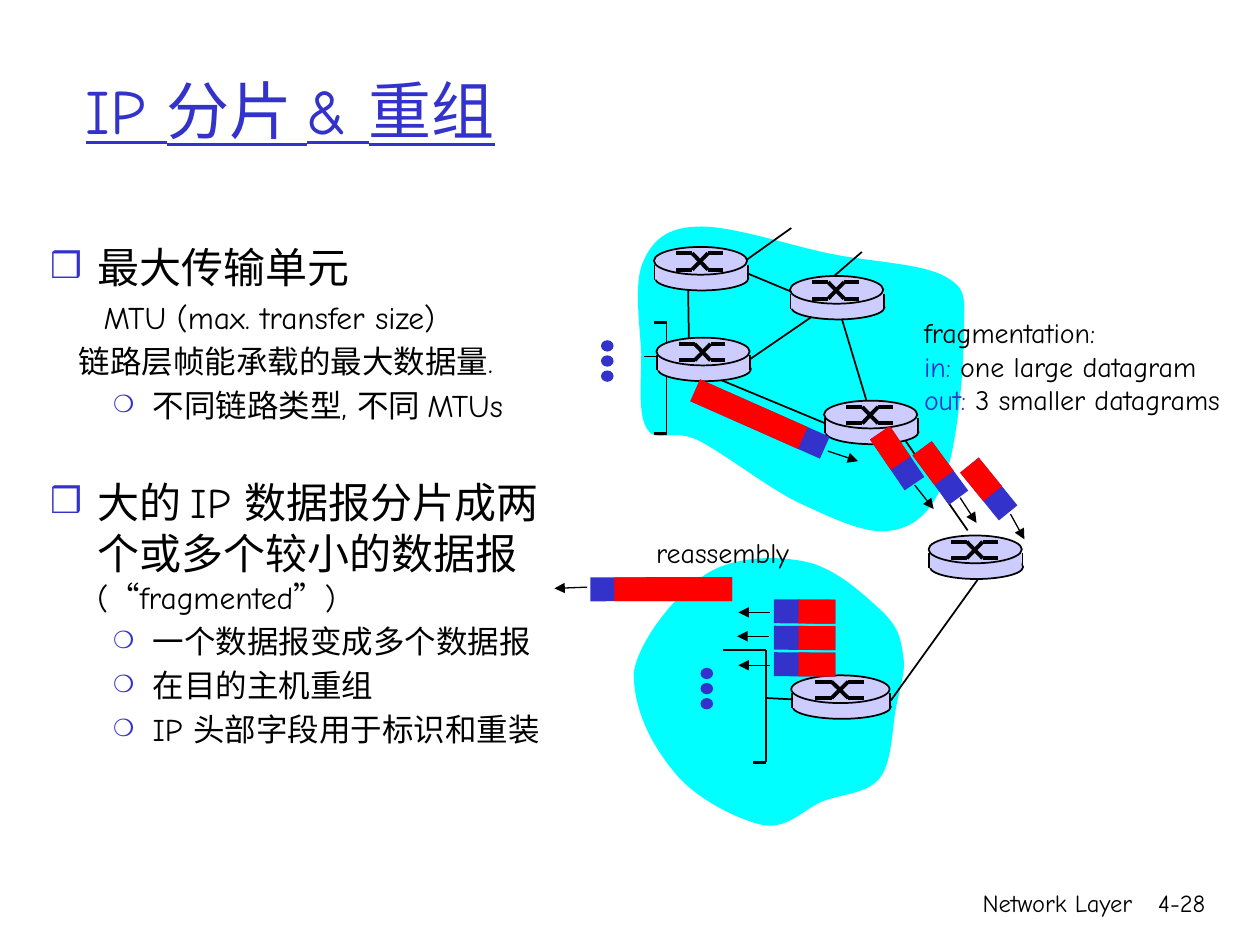
from math import cos, radians, sin
from lxml.etree import SubElement
from pptx import Presentation
from pptx.dml.color import RGBColor
from pptx.enum.shapes import MSO_CONNECTOR, MSO_SHAPE
from pptx.enum.text import MSO_ANCHOR, PP_ALIGN
from pptx.oxml.ns import qn
from pptx.util import Inches, Pt


class Theme:
    font = "Comic Neue"
    ink, blue, red = "000000", "3333CC", "FF0000"
    cloud, router = "00FFFF", "CCCCFF"
    title, head, body, label, footer = 36, 24, 18, 16, 14
    hair, thin, medium, thick = 0.75, 1, 1.5, 2.25


# Lengths are in grid units: the slide is 100 columns by 75 rows.
COLS, ROWS, UNIT = 100, 75, Inches(0.1)

# Paragraph styles: left edge, first-line indent, bullet, bullet size %, size, space before
STYLES = {
    "first": (3.75, -3.75, "❒", 85, Theme.head, 0),
    "head": (3.75, -3.75, "❒", 85, Theme.head, 30),
    "mtu": (4.25, 0, None, 0, Theme.body, 3.6),
    "note": (2.25, 0, None, 0, Theme.body, 3.6),
    "sub": (8.13, -3.13, "❍", 75, Theme.body, 3.6),
}
BODY = [
    ("first", ["最大传输单元"]),
    ("mtu", ["MTU (max. transfer size)"]),
    ("note", ["链路层帧能承载的最大数据量."]),
    ("sub", ["不同链路类型, 不同 MTUs"]),
    ("head", ["大的 IP 数据报分片成两个或多个较小的数据报 ",
              ("(“fragmented”)", {"size": Theme.body})]),
    ("sub", ["一个数据报变成多个数据报"]),
    ("sub", ["在目的主机重组"]),
    ("sub", ["IP 头部字段用于标识和重装"]),
]
FRAGMENTATION = [
    (None, ["fragmentation:"]),
    (None, [("in:", {"color": Theme.blue}), " one large datagram"]),
    (None, [("out:", {"color": Theme.blue}), " 3 smaller datagrams"]),
]

# Clouds: a start point, then two control points and an end point per curve
CLOUDS = [
    [(55.2, 18), (52.8, 18.1), (51.7, 19.2), (51, 20.9), (50.3, 22.6), (50.8, 25.9),
     (50.9, 28.1), (50.9, 30.3), (50.6, 33), (51.4, 34.1), (52.1, 35.2), (53.3, 34),
     (55.3, 34.9), (57.4, 35.9), (61, 38.8), (63.6, 40), (66.2, 41.2), (68.9, 42.5),
     (70.8, 42.1), (72.7, 41.8), (74.1, 40.5), (75, 37.9), (76, 35.3), (76.5, 29.2),
     (76.5, 26.6), (76.5, 23.9), (76.9, 23), (75.1, 22), (73.3, 20.9), (69, 20.8),
     (65.7, 20.1), (62.4, 19.4), (57.7, 17.8), (55.2, 18)],
    [(50.3, 53.4), (50.7, 50.8), (53.7, 47.1), (56, 45.6), (58.3, 44.1), (61.7, 44.1),
     (64, 44.6), (66.4, 45.1), (68.8, 47.4), (70.1, 48.6), (71.4, 49.9), (71.5, 50.8),
     (71.7, 52.1), (71.9, 53.4), (71.4, 54.6), (71.1, 56.3), (70.8, 57.9), (70.8, 60.6),
     (69.8, 61.8), (68.8, 63), (66.9, 63), (65.3, 63.6), (63.8, 64.2), (62.6, 65.8),
     (60.6, 65.5), (58.7, 65.1), (55.4, 63.5), (53.7, 61.5), (52, 59.5), (50.3, 56.7),
     (50.3, 53.4)],
]
LINKS = [
    (51.1, 28.3, 52.5, 28.3), (57.4, 20.9, 64.6, 23.9), (66.6, 24.6, 68.8, 31.9),
    (54.6, 22.1, 54.7, 28.5), (54.9, 29.2, 65.5, 33.6), (76.8, 42.1, 71.6, 34.6),
    (65.8, 24.2, 57.5, 29.9), (62.8, 18.1, 57.6, 21.8), (68.4, 20, 65.4, 22.6),
    (60.8, 55.4, 62.8, 55.5), (77.6, 46, 70.7, 55.6),
]
# Brackets: stem x, top, bottom, then the left ends of the upper and lower arms
BRACKETS = [(52.9, 25.6, 34.4, 51.9, 51.9), (60.8, 51.6, 60.5, 57.4, 59.8)]
DOTS = [(47.7, 27), (55.6, 53)]
# Routers: left, top, width
ROUTERS = [(51.9, 19.6, 7.4), (52.1, 26.8, 7.4), (62.7, 21.9, 7.4),
           (65.4, 31.8, 7.4), (62.8, 53.6, 7.8), (73.7, 42.5, 7.4)]
# Datagrams: middle of the tail end, direction in degrees, length, red share
LONG, SHORT = (11.25, 0.83), (4.88, 0.6)
DATAGRAMS = [
    (55.18, 30.98, 23.9, LONG), (69.84, 34.35, 55.8, SHORT),
    (73.19, 35.58, 53.6, SHORT), (76.94, 36.92, 50.9, SHORT),
    (66.3, 48.55, 180.4, SHORT), (66.3, 50.65, 180.4, SHORT),
    (66.3, 52.75, 180.4, SHORT), (58.1, 46.75, 179.9, LONG),
]
ARROWS = [
    (65.7, 35.8, 68.1, 36.6), (72.6, 38.5, 74.1, 40.4), (76.2, 39.5, 77.5, 41.5),
    (80.2, 40.8, 81.3, 42.8), (61.1, 48.6, 58.6, 48.6), (61, 50.5, 58.5, 50.5),
    (61.1, 52.8, 58.6, 52.8), (46.6, 46.6, 44, 46.7),
]


def units(*values):
    return [round(v * UNIT) for v in values]


def add_text(s, box, paras, size=Theme.label, color=Theme.ink, underline=False,
             align=PP_ALIGN.LEFT, anchor=MSO_ANCHOR.TOP):
    """Text box from a string or from (style, runs) paragraphs."""
    tf = s.shapes.add_textbox(*units(*box)).text_frame
    tf.word_wrap, tf.vertical_anchor = True, anchor
    paras = [(None, [paras])] if isinstance(paras, str) else paras
    for i, (style, runs) in enumerate(paras):
        p = tf.paragraphs[0] if i == 0 else tf.add_paragraph()
        p.alignment = align
        base = size
        if style:
            left, indent, char, percent, base, before = STYLES[style]
            pPr = p._p.get_or_add_pPr()
            for key, value in zip(("marL", "indent"), units(left, indent)):
                pPr.set(key, str(value))
            p.space_before = Pt(before)
            if char:
                clr = SubElement(pPr, qn("a:buClr"))
                SubElement(clr, qn("a:srgbClr"), val=Theme.blue)
                SubElement(pPr, qn("a:buSzPct"), val=str(percent * 1000))
                SubElement(pPr, qn("a:buFont"), typeface=Theme.font)
                SubElement(pPr, qn("a:buChar"), char=char)
        for run in runs:
            text, fmt = (run, {}) if isinstance(run, str) else run
            r = p.add_run()
            r.text = text
            r.font.name, r.font.underline = Theme.font, underline
            r.font.size = Pt(fmt.get("size", base))
            r.font.color.rgb = RGBColor.from_string(fmt.get("color", color))


def paint(sp, fill, outline=None):
    sp.shadow.inherit = False
    sp.fill.solid()
    sp.fill.fore_color.rgb = RGBColor.from_string(fill)
    if outline:
        sp.line.color.rgb = RGBColor.from_string(Theme.ink)
        sp.line.width = Pt(outline)
    else:
        sp.line.fill.background()
    return sp


def add_shape(s, kind, box, fill, outline=None):
    return paint(s.shapes.add_shape(kind, *units(*box)), fill, outline)


def add_line(s, ends, width=Theme.thin, arrow=False):
    c = s.shapes.add_connector(MSO_CONNECTOR.STRAIGHT, *units(*ends))
    c.line.color.rgb = RGBColor.from_string(Theme.ink)
    c.line.width = Pt(width)
    if arrow:
        SubElement(c.line._get_or_add_ln(), qn("a:tailEnd"), type="triangle")
    SubElement(c._element.spPr, qn("a:effectLst"))


def add_cloud(s, points):
    start, *rest = [units(*pt) for pt in points]
    fb = s.shapes.build_freeform(*start)
    fb.add_line_segments(rest, close=True)
    sp = paint(fb.convert_to_shape(), Theme.cloud)
    # Turn every three straight segments into one curve
    segments = list(sp._element.iter(qn("a:lnTo")))
    for i in range(0, len(segments) - 2, 3):
        curve = segments[i]
        curve.tag = qn("a:cubicBezTo")
        for segment in segments[i + 1:i + 3]:
            curve.append(segment[0])
            segment.getparent().remove(segment)


def add_router(s, x, y, w):
    add_shape(s, MSO_SHAPE.OVAL, (x + 0.1, y + 1.55, w, 1.9), Theme.router, Theme.thin)
    add_shape(s, MSO_SHAPE.RECTANGLE, (x + 0.1, y + 1.4, w - 0.1, 1.2), Theme.router)
    for side in (x + 0.05, x + w + 0.05):
        add_line(s, (side, y + 1.4, side, y + 2.6))
    add_shape(s, MSO_SHAPE.OVAL, (x, y, w, 2.2), Theme.router, Theme.thin)
    a, b, c, d = (x + w * share for share in (0.24, 0.41, 0.58, 0.74))
    top, low = y + 0.5, y + 1.8
    for start, end in ((top, low), (low, top)):
        for ends in ((a, start, b, start), (b, start, c, end), (c, end, d, end)):
            add_line(s, ends, Theme.thick)


def add_datagram(s, x, y, angle, size, thick=1.9):
    length, share = size
    for part, fill in ((length, Theme.blue), (length * share, Theme.red)):
        cx = x + part / 2 * cos(radians(angle))
        cy = y + part / 2 * sin(radians(angle))
        box = (cx - part / 2, cy - thick / 2, part, thick)
        add_shape(s, MSO_SHAPE.RECTANGLE, box, fill).rotation = angle


def main():
    prs = Presentation()
    prs.slide_width, prs.slide_height = COLS * UNIT, ROWS * UNIT
    s = prs.slides.add_slide(prs.slide_layouts[6])

    # Title, body and footer
    add_text(s, (5.83, 2.45, 85, 12.5), "IP 分片 & 重组", size=Theme.title,
             color=Theme.blue, underline=True, anchor=MSO_ANCHOR.MIDDLE)
    add_text(s, (3, 18.68, 41.7, 50.8), BODY)
    for box, text in (((59.15, 70, 31.7, 5), "Network Layer"), ((89.25, 70, 7.4, 5), "4-28")):
        add_text(s, box, text, size=Theme.footer, align=PP_ALIGN.RIGHT)

    # Networks
    for points in CLOUDS:
        add_cloud(s, points)
    for x, top, low, upper_end, lower_end in BRACKETS:
        add_line(s, (x, top, x, low))
        add_line(s, (upper_end, top, x, top), Theme.medium)
        add_line(s, (lower_end, low, x, low), Theme.medium)
    for x, y in DOTS:
        for i in range(3):
            add_shape(s, MSO_SHAPE.OVAL, (x, y + 1.2 * i, 1, 0.9), Theme.blue)
    for ends in LINKS:
        add_line(s, ends)
    for router in ROUTERS:
        add_router(s, *router)

    # Datagrams on their way, with labels
    for datagram in DATAGRAMS:
        add_datagram(s, *datagram)
    for ends in ARROWS:
        add_line(s, ends, Theme.hair, arrow=True)
    add_text(s, (72.35, 24.55, 27.65, 9), FRAGMENTATION)
    add_text(s, (51.1, 42, 13.6, 3.7), "reassembly")

    prs.save("out.pptx")


if __name__ == "__main__":
    main()
